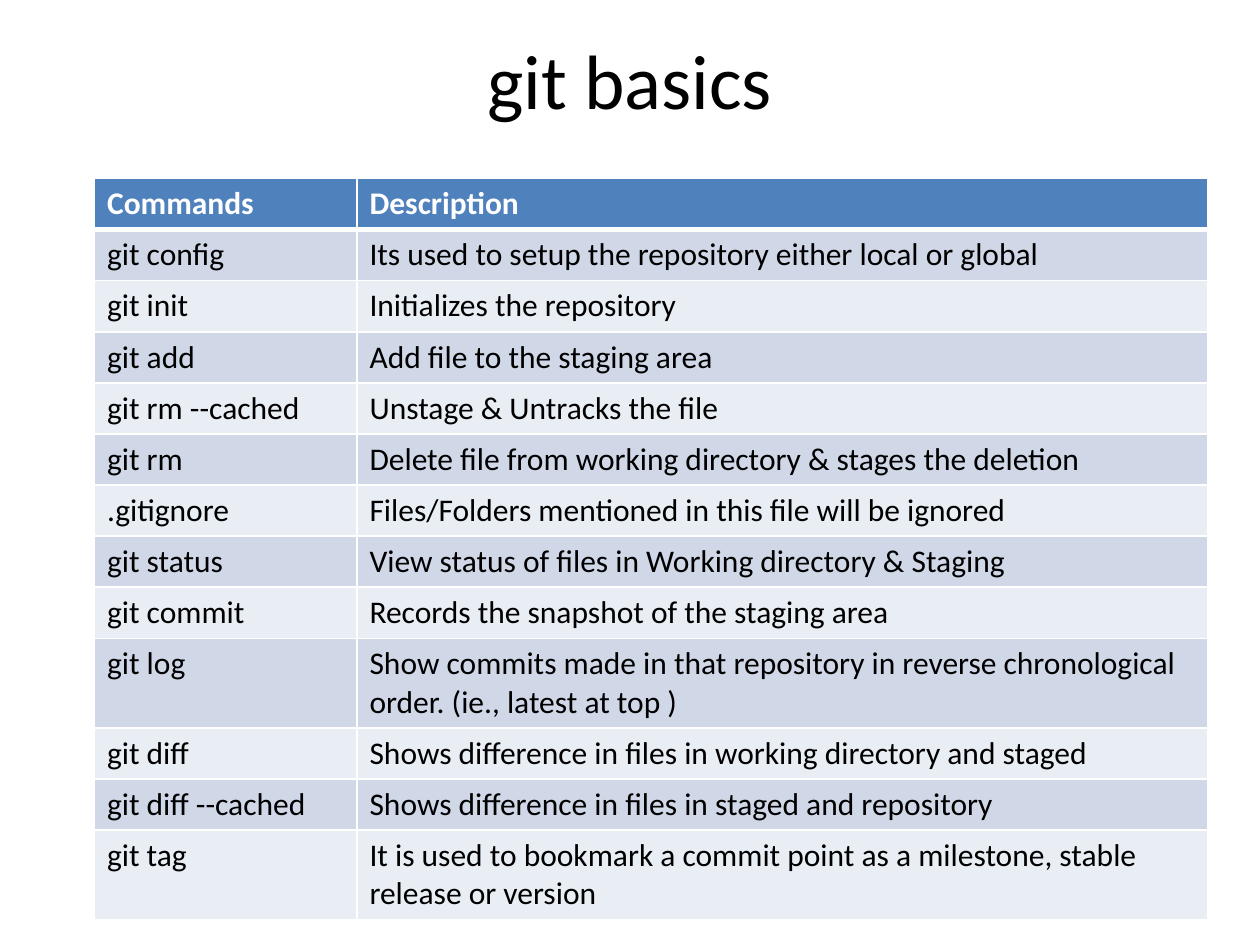
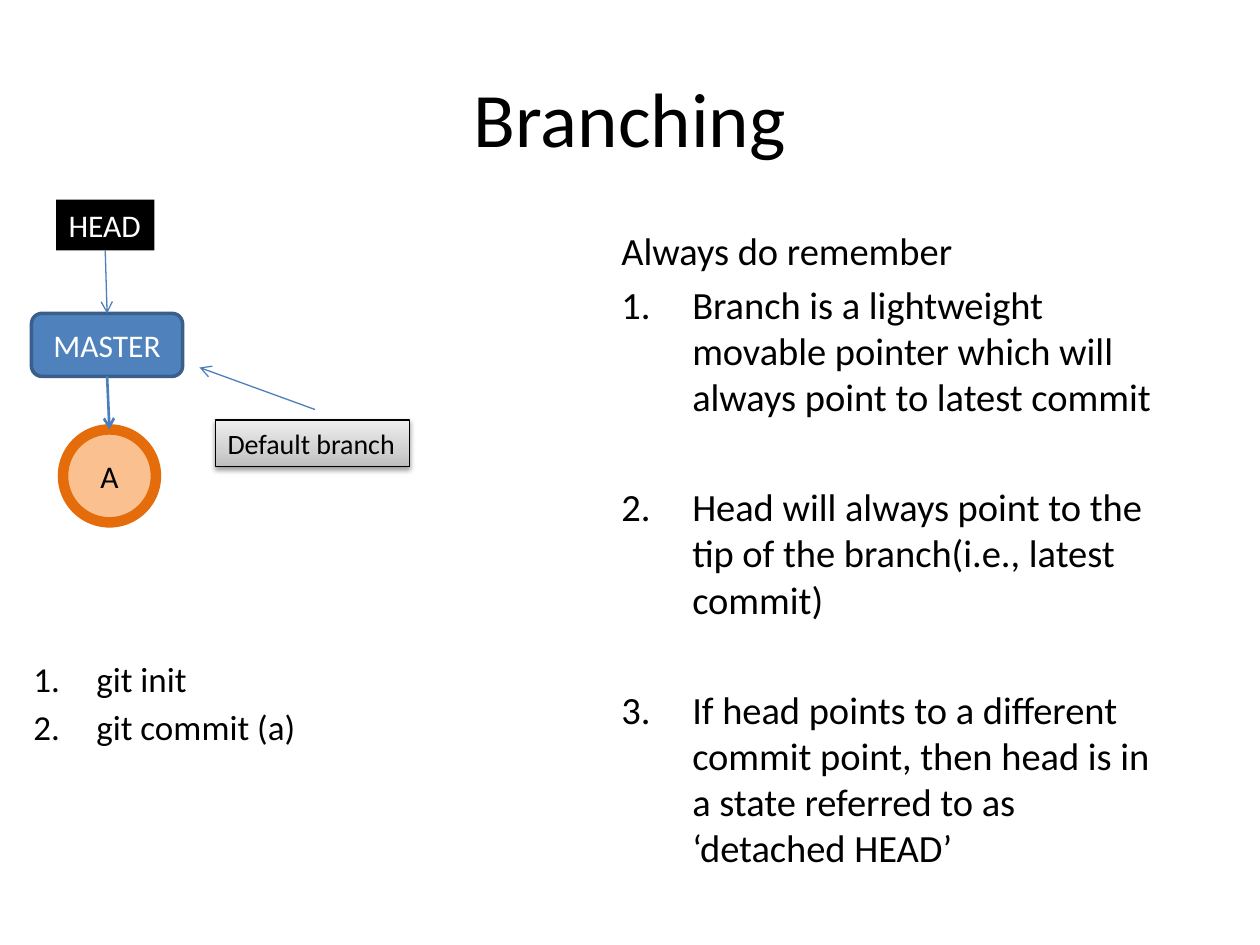
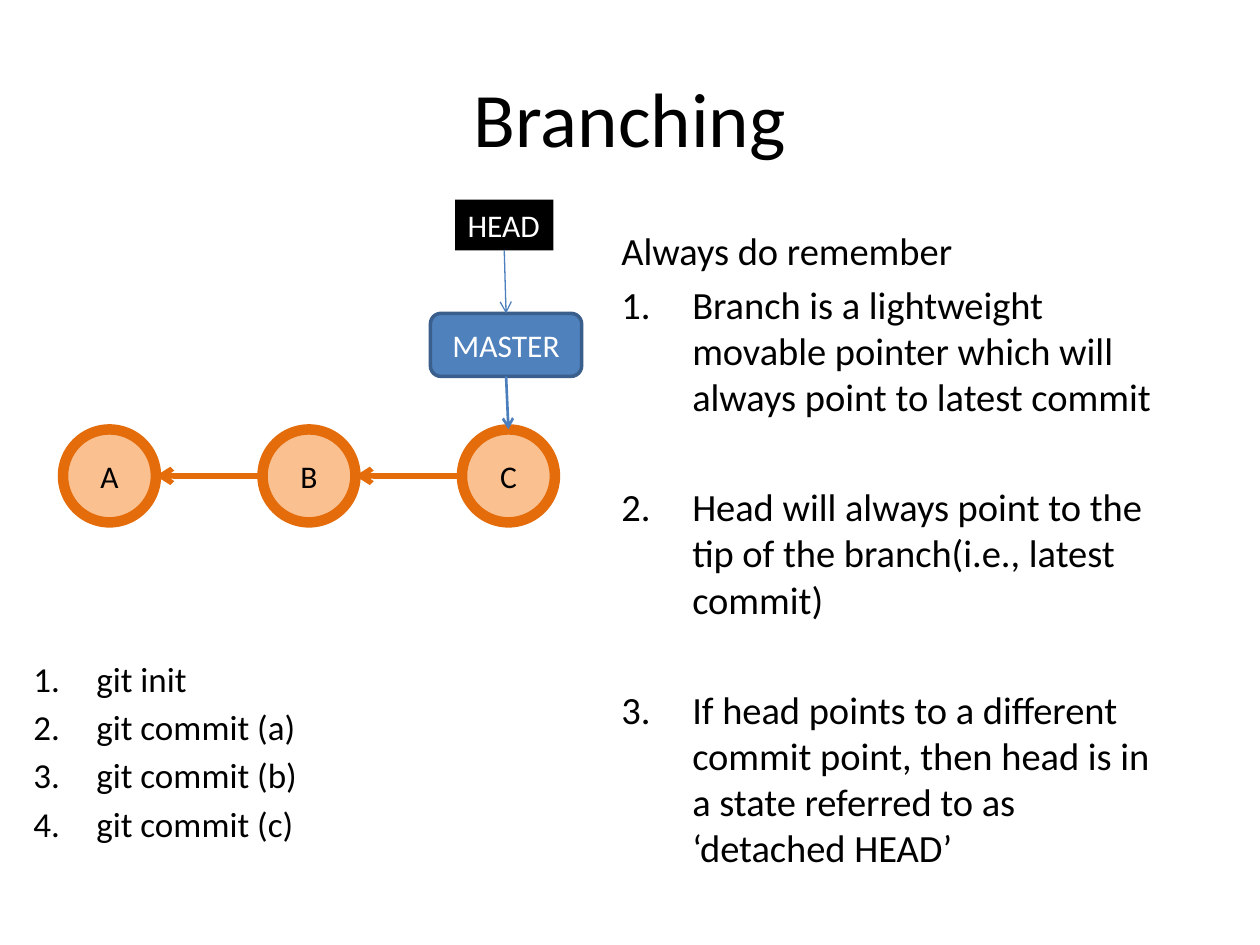
from dataclasses import dataclass

from lxml.etree import SubElement
from pptx import Presentation
from pptx.dml.color import RGBColor
from pptx.enum.shapes import MSO_CONNECTOR as Line, MSO_SHAPE as Preset
from pptx.enum.text import MSO_ANCHOR as Anchor, PP_ALIGN as Align
from pptx.oxml import parse_xml
from pptx.oxml.ns import nsdecls, qn
from pptx.util import Emu, Inches, Pt

FONT = "Calibri"
BLACK, WHITE = "000000", "FFFFFF"
BLUE, BLUE_EDGE, BLUE_LINE = "4F81BD", "3A5F8C", "4B7EBC"
PEACH, ORANGE = "FAC090", "E46C0A"
BANDS = ("E9EDF4", "D0D8E8")

CELL = Inches(10) / 120
COMMIT_STEP = 19

COMMANDS = [
    ("Commands", "Description"),
    ("git config", "Its used to setup the repository either local or global"),
    ("git init", "Initializes the repository"),
    ("git add", "Add file to the staging area"),
    ("git rm --cached", "Unstage & Untracks the file"),
    ("git rm", "Delete file from working directory & stages the deletion"),
    (".gitignore", "Files/Folders mentioned in this file will be ignored"),
    ("git status", "View status of files in Working directory & Staging"),
    ("git commit", "Records the snapshot of the staging area"),
    ("git log", "Show commits made in that repository in reverse chronological "
                "order. (ie., latest at top )"),
    ("git diff", "Shows difference in files in working directory and staged"),
    ("git diff --cached", "Shows difference in files in staged and repository"),
    ("git tag", "It is used to bookmark a commit point as a milestone, stable "
                "release or version"),
]

REMINDERS = [
    "Branch is a lightweight movable pointer which will always point to latest commit",
    "Head will always point to the tip of the branch(i.e., latest commit)",
    "If head points to a different commit point, then head is in a state referred to as "
    "‘detached HEAD’",
]


@dataclass(frozen=True)
class Area:
    col: float
    row: float
    cols: float
    rows: float

    def at(self, across: float, down: float) -> tuple[float, float]:
        return self.col + across * self.cols, self.row + down * self.rows

    def shifted(self, cols: float) -> "Area":
        return Area(self.col + cols, self.row, self.cols, self.rows)

    def lengths(self) -> list[Emu]:
        return [grid(n) for n in (self.col, self.row, self.cols, self.rows)]


@dataclass(frozen=True)
class Node:
    preset: Preset
    area: Area
    fill: str
    ink: str
    edge: str | None = None
    edge_width: float = 0
    size: float = 18
    wrap: bool = True


@dataclass(frozen=True)
class Entry:
    text: str
    numbered: bool = True
    before: float = 0


HEAD = Node(Preset.RECTANGLE, Area(5.35, 19, 9.35, 4.85), BLACK, WHITE, wrap=False)
MASTER = Node(Preset.ROUNDED_RECTANGLE, Area(3, 29.85, 14.4, 6), BLUE, WHITE, BLUE_EDGE, 2)
COMMIT = Node(Preset.OVAL, Area(6, 40.9, 8.85, 8.85), PEACH, BLACK, ORANGE, 6)
DEFAULT_BRANCH = Node(Preset.RECTANGLE, Area(20.5, 40, 18.5, 4.45), "D1D1D1", BLACK,
                      BLACK, 0.75, 16, False)


def grid(count: float) -> Emu:
    return Emu(round(count * CELL))


def colour(value: str) -> RGBColor:
    return RGBColor.from_string(value)


def write(para, text: str, size: float, ink: str = BLACK, bold: bool = False) -> None:
    span = para.add_run()
    span.text = text
    span.font.name = FONT
    span.font.size = Pt(size)
    span.font.bold = bold
    span.font.color.rgb = colour(ink)


def add_page(deck, title: str, title_row: float):
    page = deck.slides.add_slide(deck.slide_layouts[5])
    box = page.shapes.title
    box.left, box.top, box.width, box.height = Area(6, title_row, 108, 15).lengths()
    frame = box.text_frame
    frame.vertical_anchor = Anchor.MIDDLE
    para = frame.paragraphs[0]
    para.alignment = Align.CENTER
    write(para, title, 44)
    return page


def add_node(page, node: Node, text: str):
    shape = page.shapes.add_shape(node.preset, *node.area.lengths())
    shape.shadow.inherit = False
    shape.fill.solid()
    shape.fill.fore_color.rgb = colour(node.fill)
    if node.edge:
        shape.line.color.rgb = colour(node.edge)
        shape.line.width = Pt(node.edge_width)
    else:
        shape.line.fill.background()
    frame = shape.text_frame
    frame.word_wrap = node.wrap
    frame.vertical_anchor = Anchor.MIDDLE
    para = frame.paragraphs[0]
    para.alignment = Align.CENTER if node.wrap else Align.LEFT
    write(para, text, node.size, node.ink)
    return shape


def add_arrow(page, start: tuple[float, float], end: tuple[float, float],
              ink: str, width: float) -> None:
    points = [grid(n) for n in (*start, *end)]
    arrow = page.shapes.add_connector(Line.STRAIGHT, *points)
    arrow.line.color.rgb = colour(ink)
    arrow.line.width = Pt(width)
    SubElement(arrow.line._get_or_add_ln(), qn("a:tailEnd"), type="arrow")
    SubElement(arrow._element.spPr, qn("a:effectLst"))


def add_entries(page, area: Area, entries: list[Entry], size: float, indent: float) -> None:
    frame = page.shapes.add_textbox(*area.lengths()).text_frame
    frame.word_wrap = True
    for index, entry in enumerate(entries):
        para = frame.add_paragraph() if index else frame.paragraphs[0]
        if entry.numbered:
            props = para._p.get_or_add_pPr()
            props.set("marL", str(grid(indent)))
            props.set("indent", str(-grid(indent)))
            SubElement(props, qn("a:buFont"), typeface="+mj-lt")
            SubElement(props, qn("a:buAutoNum"), type="arabicPeriod")
        if index:
            para.space_before = Pt(entry.before)
        write(para, entry.text, size)


def border_cell(cell, top: float, bottom: float) -> None:
    props = cell._tc.get_or_add_tcPr()
    for side, width in (("L", 1), ("R", 1), ("T", top), ("B", bottom)):
        edge = SubElement(props, qn(f"a:ln{side}"), w=str(Pt(width)))
        fill = SubElement(edge, qn("a:solidFill"))
        SubElement(fill, qn("a:srgbClr"), val=WHITE)


def add_command_table(page) -> None:
    row_height = 4.87
    area = Area(9, 17, 106, row_height * len(COMMANDS))
    table = page.shapes.add_table(len(COMMANDS), 2, *area.lengths()).table
    for column, width in zip(table.columns, (25, 81)):
        column.width = grid(width)
    for index, texts in enumerate(COMMANDS):
        table.rows[index].height = grid(row_height)
        header = index == 0
        for cell, text in zip(table.rows[index].cells, texts):
            border_cell(cell, 3 if index == 1 else 1, 3 if header else 1)
            cell.fill.solid()
            cell.fill.fore_color.rgb = colour(BLUE if header else BANDS[index % 2])
            write(cell.text_frame.paragraphs[0], text, 18, WHITE if header else BLACK, header)


def add_default_branch(page) -> None:
    props = add_node(page, DEFAULT_BRANCH, "Default branch")._element.spPr
    stops = "".join(
        f'<a:gs pos="{share * 1000}"><a:srgbClr val="{tone}"/></a:gs>'
        for share, tone in ((0, "BDBDBD"), (35, "D1D1D1"), (100, "EEEEEE")))
    props.replace(props.find(qn("a:solidFill")), parse_xml(
        f'<a:gradFill {nsdecls("a")} rotWithShape="1"><a:gsLst>{stops}</a:gsLst>'
        '<a:lin ang="16200000" scaled="1"/></a:gradFill>'))
    shadow = SubElement(props.find(qn("a:effectLst")), qn("a:outerShdw"),
                        blurRad=str(Pt(3.1)), dist=str(Pt(1.6)), dir="5400000", rotWithShape="0")
    tone = SubElement(shadow, qn("a:srgbClr"), val=BLACK)
    SubElement(tone, qn("a:alpha"), val="38000")
    add_arrow(page, (30, 39), (19, 35), BLUE_LINE, 0.75)


def add_branching_page(deck, commits: str):
    page = add_page(deck, "Branching", 3.6)
    shift = COMMIT_STEP * (len(commits) - 1)
    areas = [COMMIT.area.shifted(COMMIT_STEP * index) for index in range(len(commits))]
    for area, name in zip(areas, commits):
        add_node(page, Node(COMMIT.preset, area, COMMIT.fill, COMMIT.ink,
                            COMMIT.edge, COMMIT.edge_width), name)
    for parent, child in zip(areas, areas[1:]):
        add_arrow(page, child.at(0, 0.5), parent.at(1, 0.5), ORANGE, 3)

    head, master = HEAD.area.shifted(shift), MASTER.area.shifted(shift)
    add_node(page, Node(MASTER.preset, master, MASTER.fill, MASTER.ink,
                        MASTER.edge, MASTER.edge_width), "MASTER")
    add_arrow(page, master.at(0.5, 1), areas[-1].at(0.5, 0), BLUE_LINE, 1.5)
    add_node(page, Node(HEAD.preset, head, HEAD.fill, HEAD.ink, wrap=False), "HEAD")
    add_arrow(page, head.at(0.5, 1), master.at(0.5, 0), BLUE_LINE, 0.75)

    reminders = [Entry("Always do remember", numbered=False)]
    reminders += [Entry(text, before=36.5 if index else 4.5)
                  for index, text in enumerate(REMINDERS)]
    add_entries(page, Area(58, 21, 54, 52.5), reminders, 22, 6.75)
    steps = ["git init"] + [f"git commit ({name.lower()})" for name in commits]
    add_entries(page, Area(2, 62, 54, 24.5), [Entry(step, before=3.6) for step in steps], 20, 6)
    return page


def main() -> None:
    deck = Presentation()
    deck.slide_width, deck.slide_height = grid(120), grid(90)
    add_command_table(add_page(deck, "git basics", 0))
    add_default_branch(add_branching_page(deck, "A"))
    add_branching_page(deck, "ABC")
    deck.save("out.pptx")


if __name__ == "__main__":
    main()
